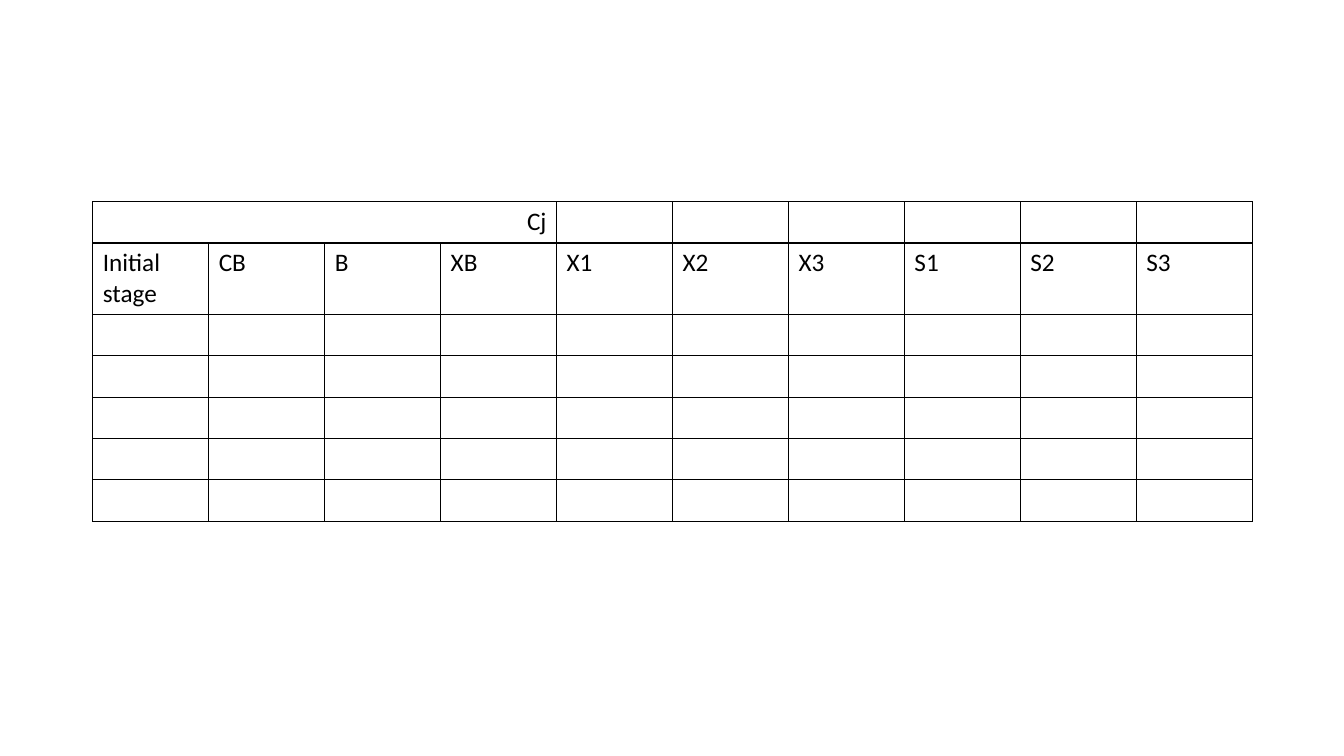
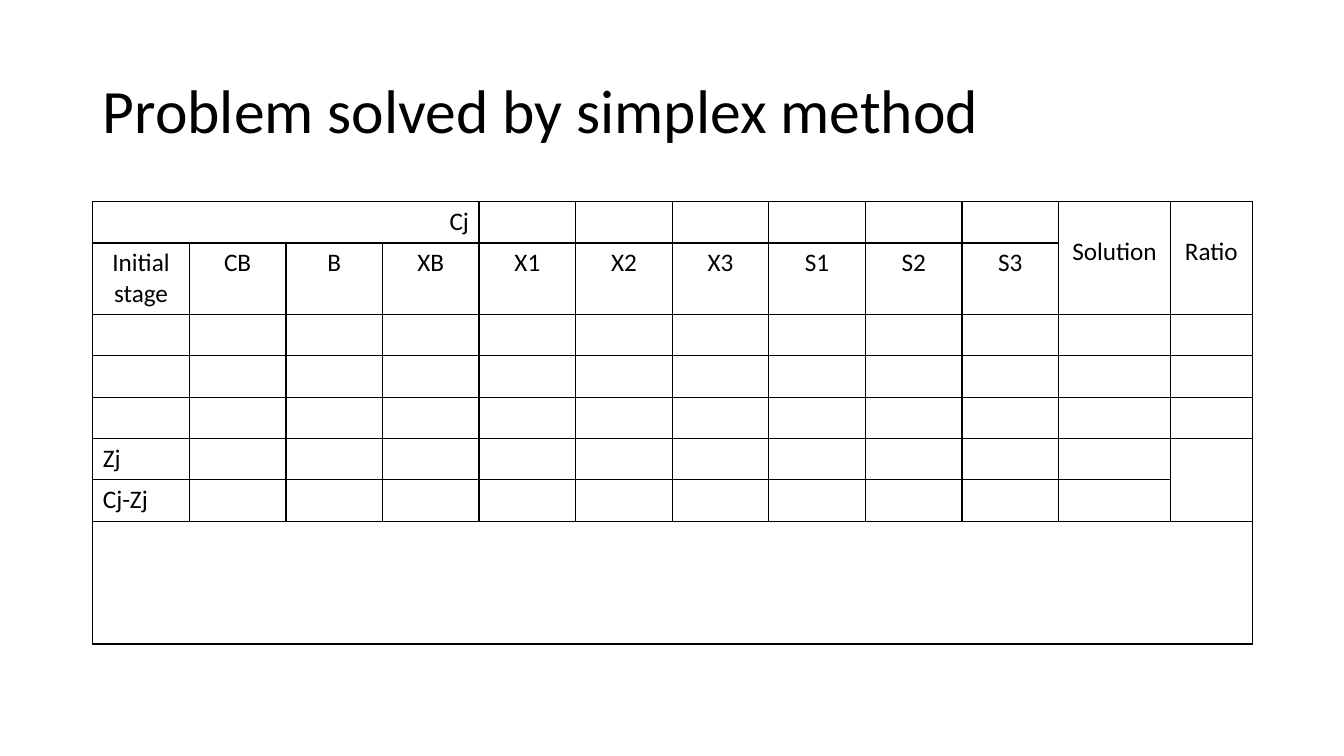
from lxml import etree
from pptx import Presentation
from pptx.dml.color import RGBColor
from pptx.enum.text import MSO_ANCHOR, PP_ALIGN
from pptx.oxml.ns import qn
from pptx.util import Inches, Pt

LEFT, RIGHT, CENTER = PP_ALIGN.LEFT, PP_ALIGN.RIGHT, PP_ALIGN.CENTER
MIDDLE = MSO_ANCHOR.MIDDLE

BLACK = RGBColor(0x00, 0x00, 0x00)
WHITE = RGBColor(0xFF, 0xFF, 0xFF)
FONT = "Calibri"
BODY_PT, TITLE_PT = 18, 44

SLIDE_W, SLIDE_H = 13.33, 7.5
MARGIN, CONTENT_W = 0.92, 11.5
TITLE_TOP, TITLE_H = 0.4, 1.45
TABLE_TOP = 2
ROW_H, HEADER_H, NOTES_H = 0.41, 0.71, 1.22
SECOND_LINE = 0.35  # top inset that puts text one line down

HEADERS = ["Initial stage", "CB", "B", "XB", "X1", "X2", "X3", "S1", "S2", "S3"]
ROWS = [ROW_H, HEADER_H] + [ROW_H] * 5
SOLUTION_W, RATIO_W = 1.11, 0.81
VARIABLE_W = (CONTENT_W - SOLUTION_W - RATIO_W) / len(HEADERS)

# Spans run from the first to the last (row, column); texts are keyed by (row, column).
SLIDES = [
    {
        "cols": [CONTENT_W / len(HEADERS)] * len(HEADERS),
        "rows": ROWS,
        "header_align": LEFT,
        "spans": [((0, 0), (0, 3))],
        "texts": {},
    },
    {
        "title": "Problem solved by simplex method",
        "cols": [VARIABLE_W] * len(HEADERS) + [SOLUTION_W, RATIO_W],
        "rows": ROWS + [NOTES_H],
        "header_align": CENTER,
        "spans": [((0, 0), (0, 3)), ((0, 10), (1, 10)), ((0, 11), (1, 11)),
                  ((5, 11), (6, 11)), ((7, 0), (7, 11))],
        "texts": {
            (0, 10): ("Solution", CENTER, SECOND_LINE),
            (0, 11): ("Ratio", CENTER, SECOND_LINE),
            (5, 0): ("Zj", LEFT),
            (6, 0): ("Cj-Zj", LEFT),
        },
    },
]


def write(tf, text, size, align):
    p = tf.paragraphs[0]
    p.alignment = align
    r = p.add_run()
    r.text = text
    r.font.color.rgb = BLACK
    for name, value in {"name": FONT, "size": Pt(size), "bold": False}.items():
        setattr(r.font, name, value)
    return p


def add_borders(cell):
    tc_pr = cell._tc.get_or_add_tcPr()
    for side in ("lnL", "lnR", "lnT", "lnB"):
        ln = etree.SubElement(tc_pr, qn(f"a:{side}"), w=str(Pt(1)))
        fill = etree.SubElement(ln, qn("a:solidFill"))
        etree.SubElement(fill, qn("a:srgbClr"), val=str(BLACK))


def add_title(slide, text):
    title = slide.shapes.title
    box = {"left": MARGIN, "top": TITLE_TOP, "width": CONTENT_W, "height": TITLE_H}
    for name, value in box.items():
        setattr(title, name, Inches(value))
    title.text_frame.vertical_anchor = MIDDLE
    write(title.text_frame, text, TITLE_PT, LEFT).line_spacing = 0.9


def add_simplex_table(slide, cols, rows, header_align, spans, texts):
    frame = slide.shapes.add_table(
        len(rows), len(cols), Inches(MARGIN), Inches(TABLE_TOP),
        Inches(CONTENT_W), Inches(sum(rows)))
    table = frame.table
    table.first_row = table.horz_banding = False
    for col, width in zip(table.columns, cols):
        col.width = Inches(width)
    for row, height in zip(table.rows, rows):
        row.height = Inches(height)
    for cell in table.iter_cells():
        add_borders(cell)
        cell.fill.solid()
        cell.fill.fore_color.rgb = WHITE
    for first, last in spans:
        table.cell(*first).merge(table.cell(*last))

    headers = {(1, c): (text, header_align) for c, text in enumerate(HEADERS)}
    for pos, (text, align, *inset) in {(0, 0): ("Cj", RIGHT), **headers, **texts}.items():
        cell = table.cell(*pos)
        write(cell.text_frame, text, BODY_PT, align)
        if inset:
            cell.margin_top = Inches(inset[0])


def main():
    prs = Presentation()
    prs.slide_width, prs.slide_height = Inches(SLIDE_W), Inches(SLIDE_H)
    title_only, blank = prs.slide_layouts[5], prs.slide_layouts[6]
    for content in SLIDES:
        title = content.get("title")
        slide = prs.slides.add_slide(title_only if title else blank)
        if title:
            add_title(slide, title)
        add_simplex_table(slide, **{k: v for k, v in content.items() if k != "title"})
    prs.save("out.pptx")


if __name__ == "__main__":
    main()
